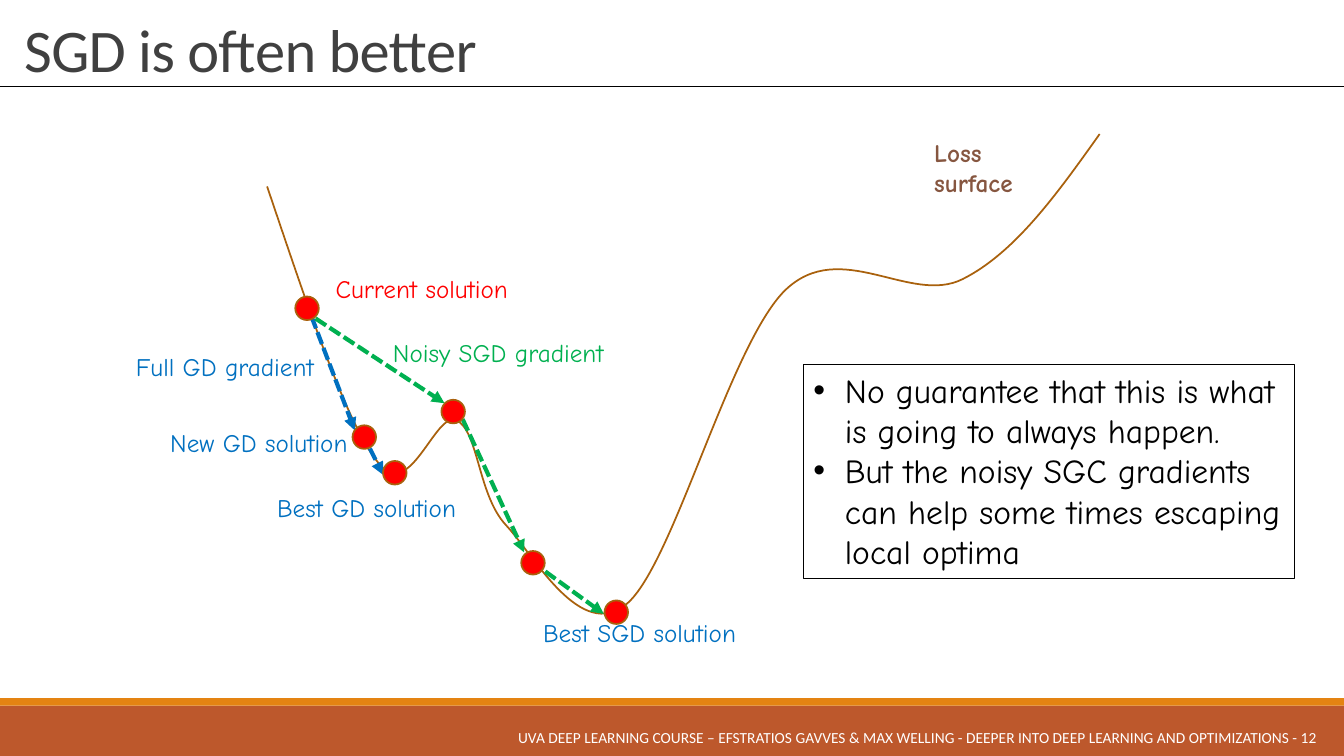
from copy import deepcopy
from dataclasses import dataclass

from lxml import etree
from pptx import Presentation
from pptx.dml.color import RGBColor
from pptx.enum.dml import MSO_LINE
from pptx.enum.shapes import MSO_CONNECTOR, MSO_SHAPE
from pptx.enum.text import MSO_ANCHOR, MSO_AUTO_SIZE, PP_ALIGN
from pptx.oxml.ns import qn
from pptx.shapes.autoshape import Shape
from pptx.shapes.connector import Connector
from pptx.slide import Slide
from pptx.text.text import TextFrame
from pptx.util import Pt

RECTANGLE, OVAL = MSO_SHAPE.RECTANGLE, MSO_SHAPE.OVAL
STRAIGHT = MSO_CONNECTOR.STRAIGHT
SYS_DASH = MSO_LINE.SQUARE_DOT
TOP, MIDDLE, BOTTOM = MSO_ANCHOR.TOP, MSO_ANCHOR.MIDDLE, MSO_ANCHOR.BOTTOM
LEFT, RIGHT = PP_ALIGN.LEFT, PP_ALIGN.RIGHT
NO_AUTOFIT = MSO_AUTO_SIZE.NONE

Point = tuple[float, float]
Box = tuple[float, float, float, float]


@dataclass(frozen=True)
class Theme:
    heading_font: str = "Calibri"
    hand_font: str = "Comic Neue"
    title_size: float = 43.2
    list_size: float = 24
    label_size: float = 18
    footer_size: float = 11
    title: str = "404040"
    black: str = "000000"
    white: str = "FFFFFF"
    band: str = "BD582C"
    stripe: str = "E48312"
    curve: str = "A9610D"
    loss: str = "865640"
    solution: str = "FF0000"
    full_gd: str = "0070C0"
    noisy_sgd: str = "00B050"


@dataclass(frozen=True)
class Label:
    text: str
    left: float
    top: float
    width: float
    color: str
    bold: bool = False
    right_inset: float = 0


@dataclass(frozen=True)
class Step:
    start: Point
    end: Point
    color: str


THEME = Theme()
SLIDE_WIDTH, SLIDE_HEIGHT = 960, 540
LABEL_HEIGHT = 28.8
DOT_SIZE = 16.8

LOSS_HEIGHT = 342.72
LOSS_START: Point = (190.8, 133.2)
LOSS_CURVES: list[tuple[Point, Point, Point]] = [
    ((219.6, 218.16), (247.68, 303.84), (270.72, 331.2)),
    ((293.04, 359.28), (311.04, 293.04), (326.16, 300.24)),
    ((342, 308.16), (341.28, 353.52), (361.44, 375.12)),
    ((381.6, 396.72), (414.72, 459.36), (447.84, 431.28)),
    ((480.96, 403.2), (521.28, 246.24), (560.88, 207.36)),
    ((600.48, 169.2), (650.16, 218.16), (687.6, 199.44)),
    ((725.04, 180.72), (755.28, 138.24), (785.52, 95.76)),
]

SOLUTIONS: list[Point] = [
    (219.3, 220.2), (260.2, 312.2), (323.7, 294),
    (282, 337.7), (380.7, 402), (440.2, 437.3),
]

STEPS = [
    Step((222.5, 226.1), (253.4, 307.4), THEME.full_gd),
    Step((264.2, 320.4), (273.6, 339.1), THEME.full_gd),
    Step((225.4, 227.5), (317.5, 288), THEME.noisy_sgd),
    Step((330.5, 299.5), (374.4, 394.6), THEME.noisy_sgd),
    Step((389.5, 408.2), (431.3, 438.5), THEME.noisy_sgd),
]

LABELS = [
    Label("Current solution", 232.6, 191.5, 140.4, THEME.solution),
    Label("Full GD gradient", 90, 247.7, 145.4, THEME.full_gd),
    Label("New GD solution", 114.5, 301.7, 142.6, THEME.full_gd),
    Label("Noisy SGD gradient", 273.6, 237.6, 173.5, THEME.noisy_sgd),
    Label("Best GD solution", 190.8, 348.2, 143.3, THEME.full_gd),
    Label("Best SGD solution", 380.9, 437.5, 156.2, THEME.full_gd),
    Label("Loss surface", 660.2, 94.3, 108.7, THEME.loss, True, 28.8),
]

REMARKS = [
    "No guarantee that this is what\vis going to always happen.",
    "But the noisy SGC gradients can help some times escaping local optima",
]


def write(frame: TextFrame, *texts: str, size: float, color: str,
          font: str = THEME.hand_font, bold: bool = False, align=LEFT,
          anchor=TOP, line_spacing: float = 1, tracking: float = 0,
          right_inset: float = 7.2, bullet_indent: float = 0) -> None:
    frame.word_wrap = True
    frame.auto_size = NO_AUTOFIT
    frame.vertical_anchor = anchor
    frame.margin_right = Pt(right_inset)
    for index, text in enumerate(texts):
        paragraph = frame.add_paragraph() if index else frame.paragraphs[0]
        if bullet_indent:
            properties = paragraph._p.get_or_add_pPr()
            properties.set("marL", str(Pt(bullet_indent)))
            properties.set("indent", str(-Pt(bullet_indent)))
            etree.SubElement(properties, qn("a:buFont"), typeface="Arial")
            etree.SubElement(properties, qn("a:buChar"), char="•")
        paragraph.alignment = align
        paragraph.line_spacing = line_spacing
        paragraph.space_before = Pt(0)
        paragraph.text = text
        for run in paragraph.runs:
            run.font.name = font
            run.font.size = Pt(size)
            run.font.bold = bold
            run.font.color.rgb = RGBColor.from_string(color)
            if tracking:
                run._r.get_or_add_rPr().set("spc", str(round(tracking * 100)))
        for line_break in paragraph._p.findall(qn("a:br")):
            line_break.insert(0, deepcopy(paragraph.runs[0]._r.get_or_add_rPr()))


def place(shape: Shape, box: Box) -> None:
    shape.left, shape.top, shape.width, shape.height = map(Pt, box)


def outline(shape: Shape | Connector, color: str, width: float) -> None:
    shape.line.color.rgb = RGBColor.from_string(color)
    shape.line.width = Pt(width)


def add_filled(slide: Slide, kind: MSO_SHAPE, box: Box, color: str) -> Shape:
    shape = slide.shapes.add_shape(kind, *map(Pt, box))
    shape.shadow.inherit = False
    shape.fill.solid()
    shape.fill.fore_color.rgb = RGBColor.from_string(color)
    shape.line.fill.background()
    return shape


def add_line(slide: Slide, start: Point, end: Point, color: str, width: float) -> Connector:
    line = slide.shapes.add_connector(STRAIGHT, *map(Pt, start + end))
    outline(line, color, width)
    etree.SubElement(line._element.spPr, qn("a:effectLst"))
    return line


def add_step(slide: Slide, step: Step) -> None:
    arrow = add_line(slide, step.start, step.end, step.color, 3)
    arrow.line.dash_style = SYS_DASH
    etree.SubElement(arrow.line._get_or_add_ln(), qn("a:tailEnd"), type="triangle")


def add_label(slide: Slide, label: Label) -> None:
    box = slide.shapes.add_textbox(*map(Pt, (label.left, label.top, label.width, LABEL_HEIGHT)))
    write(box.text_frame, label.text, size=THEME.label_size, color=label.color,
          bold=label.bold, right_inset=label.right_inset)


def add_loss_surface(slide: Slide) -> None:
    builder = slide.shapes.build_freeform(*map(Pt, LOSS_START))
    anchors = [(Pt(x), Pt(y)) for *_, (x, y) in LOSS_CURVES]
    builder.add_line_segments(anchors, close=False)
    surface = builder.convert_to_shape()
    surface.height = Pt(LOSS_HEIGHT)
    geometry = next(surface._element.iter(qn("a:path")))
    geometry.set("h", str(Pt(LOSS_HEIGHT)))
    for segment, curve in zip(geometry.findall(qn("a:lnTo")), LOSS_CURVES):
        bend = etree.Element(qn("a:cubicBezTo"))
        for x, y in curve:
            etree.SubElement(bend, qn("a:pt"), x=str(Pt(x) - surface.left),
                             y=str(Pt(y) - surface.top))
        geometry.replace(segment, bend)
    surface.shadow.inherit = False
    surface.fill.background()
    outline(surface, THEME.curve, 1.25)


def add_frame(slide: Slide) -> None:
    add_filled(slide, RECTANGLE, (0, 504, SLIDE_WIDTH, 36), THEME.band)
    add_filled(slide, RECTANGLE, (0, 498.7, SLIDE_WIDTH, 5.3), THEME.stripe)
    add_line(slide, (0, 61.9), (SLIDE_WIDTH, 61.9), THEME.black, 1)
    footer = slide.shapes.add_textbox(*map(Pt, (135.4, 512.6, 812.9, 28.8)))
    write(footer.text_frame,
          "UVA DEEP LEARNING COURSE – EFSTRATIOS GAVVES & MAX WELLING - "
          "DEEPER INTO DEEP LEARNING AND OPTIMIZATIONS - 12",
          size=THEME.footer_size, color=THEME.white, font=THEME.heading_font,
          align=RIGHT, anchor=MIDDLE)


def main() -> None:
    deck = Presentation()
    deck.slide_width, deck.slide_height = Pt(SLIDE_WIDTH), Pt(SLIDE_HEIGHT)
    slide = deck.slides.add_slide(deck.slide_layouts[1])
    title, remarks = slide.shapes.title, slide.placeholders[1]
    place(title, (10.1, 11.5, 943.2, 52.6))
    write(title.text_frame, "SGD is often better", size=THEME.title_size,
          color=THEME.title, font=THEME.heading_font, anchor=BOTTOM,
          line_spacing=0.85, tracking=-0.5)
    place(remarks, (573.8, 260.4, 350.9, 152.6))
    outline(remarks, THEME.black, 0.75)
    write(remarks.text_frame, *REMARKS, size=THEME.list_size,
          color=THEME.black, bullet_indent=22.5)
    add_frame(slide)
    add_loss_surface(slide)
    for step in STEPS:
        add_step(slide, step)
    for x, y in SOLUTIONS:
        box = (x - DOT_SIZE / 2, y - DOT_SIZE / 2, DOT_SIZE, DOT_SIZE)
        outline(add_filled(slide, OVAL, box, THEME.solution), THEME.curve, 1.25)
    for label in LABELS:
        add_label(slide, label)
    deck.save("out.pptx")


if __name__ == "__main__":
    main()
